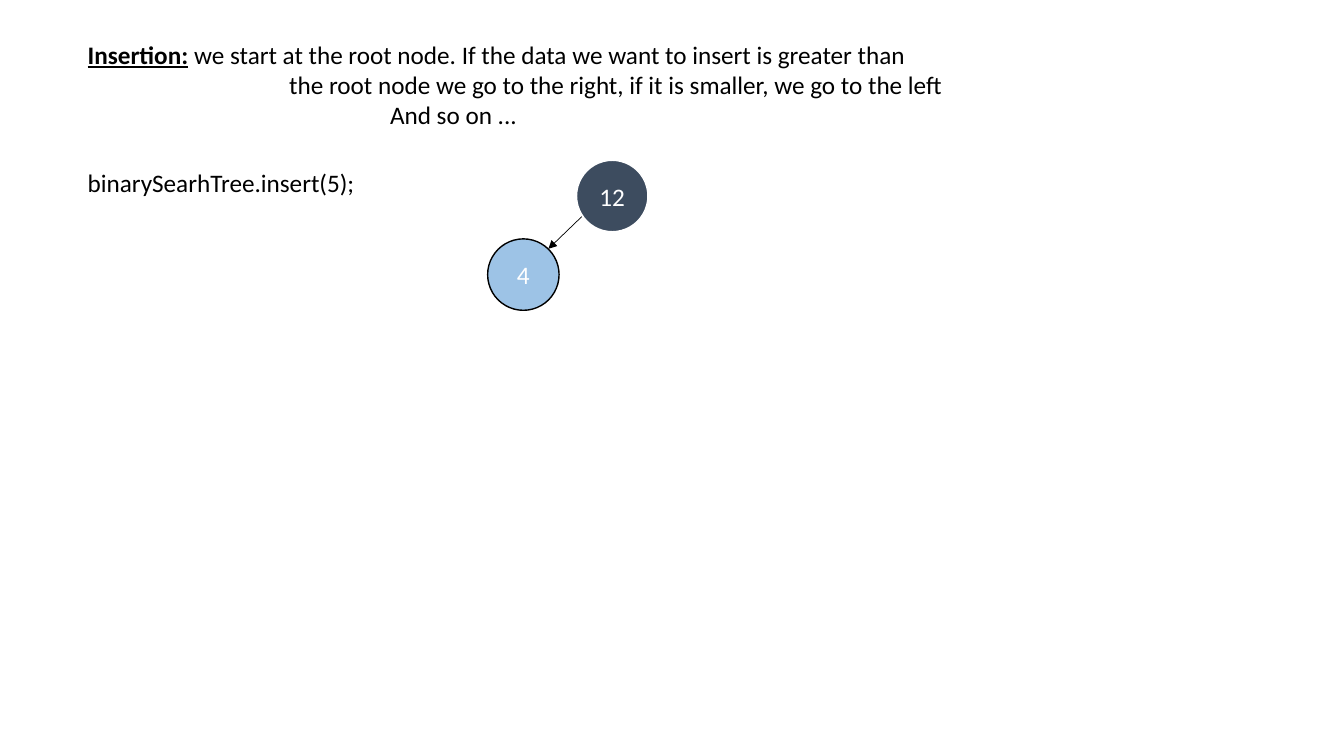
from dataclasses import dataclass

from lxml import etree
from pptx import Presentation
from pptx.dml.color import RGBColor
from pptx.enum import shapes, text
from pptx.oxml import ns
from pptx.util import Cm, Pt


@dataclass(frozen=True)
class Theme:
    font: str = "Calibri"
    size: Pt = Pt(18)
    ink: RGBColor = RGBColor(0x00, 0x00, 0x00)
    paper: RGBColor = RGBColor(0xFF, 0xFF, 0xFF)
    root: RGBColor = RGBColor(0x3D, 0x4C, 0x5F)
    child: RGBColor = RGBColor(0x9D, 0xC3, 0xE6)
    outline: Pt = Pt(1)
    arrow: Pt = Pt(0.5)


THEME = Theme()
TEXT_LEFT = Cm(1.96)
INDENT = Cm(2.54)
NODE_SIZE = Cm(1.8)


def style_font(paragraph, color):
    paragraph.font.name = THEME.font
    paragraph.font.size = THEME.size
    paragraph.font.color.rgb = color


def add_lines(slide, top, width, height, lines):
    """Add a text box from (indent level, heading, text) lines."""
    box = slide.shapes.add_textbox(TEXT_LEFT, top, width, height)
    frame = box.text_frame
    frame.word_wrap = True
    for index, (level, heading, content) in enumerate(lines):
        paragraph = frame.add_paragraph() if index else frame.paragraphs[0]
        style_font(paragraph, THEME.ink)
        properties = paragraph._p.get_or_add_pPr()
        properties.set("marL", str(level * INDENT))
        properties.set("indent", "0")
        if heading:
            run = paragraph.add_run()
            run.text = heading
            run.font.bold = run.font.underline = True
        paragraph.add_run().text = content


def add_node(slide, left, top, value, fill, outline):
    node = slide.shapes.add_shape(
        shapes.MSO_SHAPE.OVAL, left, top, NODE_SIZE, NODE_SIZE)
    node.shadow.inherit = False
    node.fill.solid()
    node.fill.fore_color.rgb = fill
    node.line.color.rgb = outline
    node.line.width = THEME.outline
    node.text_frame.vertical_anchor = text.MSO_ANCHOR.MIDDLE
    paragraph = node.text_frame.paragraphs[0]
    paragraph.text = value
    paragraph.alignment = text.PP_ALIGN.CENTER
    style_font(paragraph, THEME.paper)


def add_arrow(slide, start, end):
    arrow = slide.shapes.add_connector(
        shapes.MSO_CONNECTOR.STRAIGHT, *start, *end)
    arrow.line.color.rgb = THEME.ink
    arrow.line.width = THEME.arrow
    etree.SubElement(arrow.line._get_or_add_ln(), ns.qn("a:tailEnd"),
                     type="triangle")
    etree.SubElement(arrow._element.spPr, ns.qn("a:effectLst"))


def main():
    presentation = Presentation()
    presentation.slide_width = Cm(33.87)
    presentation.slide_height = Cm(19.05)
    slide = presentation.slides.add_slide(presentation.slide_layouts[6])

    add_node(slide, Cm(14.53), Cm(4.04), "12", THEME.root, THEME.paper)
    add_node(slide, Cm(12.29), Cm(6.02), "4", THEME.child, THEME.ink)
    add_arrow(slide, (Cm(14.66), Cm(5.46)), (Cm(13.82), Cm(6.27)))

    add_lines(slide, Cm(4.09), Cm(8.28), Cm(1.02), [
        (0, "", "binarySearhTree.insert(5);"),
    ])
    add_lines(slide, Cm(0.86), Cm(25.27), Cm(2.57), [
        (0, "Insertion:", " we start at the root node. If the data we want "
                          "to insert is greater than"),
        (2, "", "the root node we go to the right, if it is smaller, "
                "we go to the left"),
        (3, "", "And so on ..."),
    ])
    presentation.save("out.pptx")


if __name__ == "__main__":
    main()
